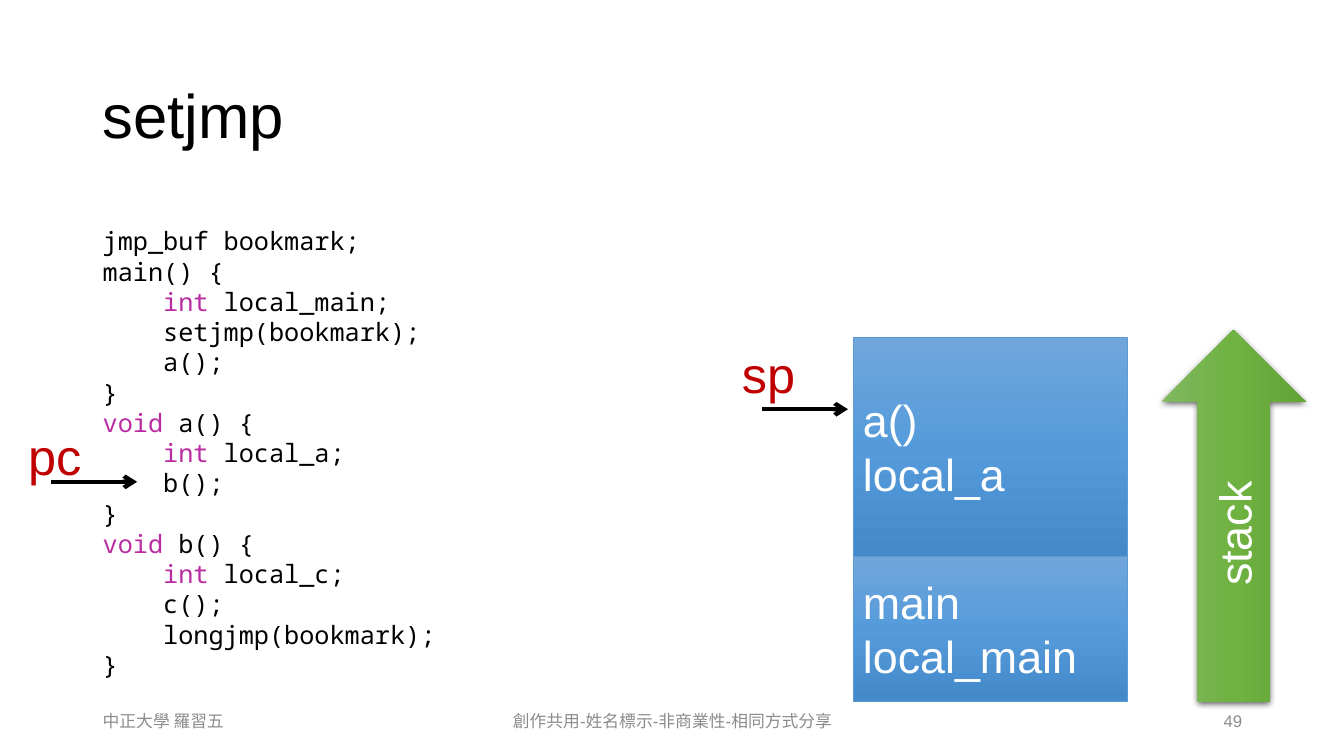
import copy

import pptx
import pptx.dml.color
import pptx.enum.shapes
import pptx.enum.text
import pptx.oxml
import pptx.oxml.ns
import pptx.util

Inches, Pt = pptx.util.Inches, pptx.util.Pt
SHAPES = pptx.enum.shapes.MSO_SHAPE
ALIGN = pptx.enum.text.PP_ALIGN
MIDDLE = pptx.enum.text.MSO_ANCHOR.MIDDLE
rgb = pptx.dml.color.RGBColor.from_string
NAMESPACE = pptx.oxml.ns.nsdecls("a")

MARGIN = 0.92
STACK_BOTTOM, STACK_ROW = 6.96, 0.7225
BLUES = ["71A6DB", "559BDB", "448ACA"]
GREENS = ["81B861", "6FB242", "62A336"]


def write(shape, lines, size, color, align=ALIGN.LEFT, anchor=MIDDLE, wrap=True):
    frame = shape.text_frame
    frame.text = "\n".join(lines)
    frame.word_wrap = wrap
    frame.vertical_anchor = anchor
    for paragraph in frame.paragraphs:
        paragraph.alignment = align
        paragraph.font.name = "Arial"
        paragraph.font.size = Pt(size)
        paragraph.font.color.rgb = rgb(color)


def fill_gradient(shape, colors):
    """Fill from top to bottom with three evenly spaced colours."""
    shape.shadow.inherit = False
    shape.fill.gradient()
    shape.fill.gradient_angle = 270
    stop_list = shape._element.spPr.find(".//" + pptx.oxml.ns.qn("a:gsLst"))
    stop_list.insert(1, copy.deepcopy(stop_list[0]))
    for index, (stop, color) in enumerate(zip(shape.fill.gradient_stops, colors)):
        stop.position = index / 2
        stop.color.rgb = rgb(color)


presentation = pptx.Presentation()
presentation.slide_width, presentation.slide_height = Inches(13.33), Inches(7.5)
slide = presentation.slides.add_slide(presentation.slide_layouts[5])
shapes = slide.shapes

title = shapes.title
title.left, title.top = Inches(MARGIN), Inches(0.4)
title.width, title.height = Inches(3.31), Inches(1.45)
write(title, ["setjmp"], 44, "000000")

# Stack frames, from the bottom up
bottom = STACK_BOTTOM
for lines, rows in [(["main", "local_main"], 2), (["a()", "local_a"], 3)]:
    height = rows * STACK_ROW
    bottom -= height
    stack_frame = shapes.add_shape(SHAPES.RECTANGLE, Inches(8.46), Inches(bottom),
                                   Inches(2.72), Inches(height))
    fill_gradient(stack_frame, BLUES)
    stack_frame.line.color.rgb = rgb("5B9BD5")
    stack_frame.line.width = Pt(0.5)
    write(stack_frame, lines, 32, "FFFFFF")

# Code: (indent level, keyword, rest of the line)
code = [
    (0, "", "jmp_buf bookmark;"),
    (0, "", "main() {"),
    (1, "int", " local_main;"),
    (1, "", "setjmp(bookmark);"),
    (1, "", "a();"),
    (0, "", "}"),
    (0, "void", " a() {"),
    (1, "int", " local_a;"),
    (1, "", "b();"),
    (0, "", "}"),
    (0, "void", " b() {"),
    (1, "int", " local_c;"),
    (1, "", "c();"),
    (1, "", "longjmp(bookmark);"),
    (0, "", "}"),
]
code_box = shapes.add_textbox(Inches(MARGIN), Inches(2.19), Inches(6.67), Inches(4.64))
code_frame = code_box.text_frame
code_frame.word_wrap = True
for index, (level, keyword, rest) in enumerate(code):
    paragraph = code_frame.add_paragraph() if index else code_frame.paragraphs[0]
    paragraph.line_spacing = Pt(21.6)
    paragraph.font.name = "Noto Sans Mono"
    paragraph.font.size = Pt(18)
    paragraph._p.get_or_add_pPr().set("marL", str(Inches(0.6 * level)))
    for text, color in [(keyword, "BA2DA2"), (rest, "000000")]:
        if text:
            run = paragraph.add_run()
            run.text = text
            run.font.color.rgb = rgb(color)

# Direction in which the stack grows
stack_arrow = shapes.add_shape(SHAPES.RIGHT_ARROW, Inches(10.39), Inches(4.4),
                               Inches(3.69), Inches(1.43))
stack_arrow.rotation = 270
fill_gradient(stack_arrow, GREENS)
stack_arrow.line.fill.background()
write(stack_arrow, ["stack"], 32, "FFFFFF", ALIGN.CENTER)
effects = stack_arrow._element.spPr.find(pptx.oxml.ns.qn("a:effectLst"))
effects.append(pptx.oxml.parse_xml(
    f'<a:outerShdw {NAMESPACE} blurRad="{Pt(4.5)}" dist="{Pt(1.5)}" dir="5400000" '
    'algn="ctr" rotWithShape="0"><a:srgbClr val="000000"><a:alpha val="63000"/>'
    '</a:srgbClr></a:outerShdw>'))

# Register pointers: name, label corner, arrow start
for name, left, top, start, level in [("pc", 0.18, 4.17, 0.51, 4.78),
                                      ("sp", 7.26, 3.35, 7.56, 4.06)]:
    pointer = shapes.add_connector(pptx.enum.shapes.MSO_CONNECTOR.STRAIGHT,
                                   Inches(start), Inches(level),
                                   Inches(start + 0.85), Inches(level))
    pointer.line.color.rgb = rgb("000000")
    pointer.line.width = Pt(3)
    pointer.line._get_or_add_ln().append(
        pptx.oxml.parse_xml(f'<a:tailEnd {NAMESPACE} type="arrow"/>'))
    pointer._element.spPr.append(pptx.oxml.parse_xml(f"<a:effectLst {NAMESPACE}/>"))
    label = shapes.add_textbox(Inches(left), Inches(top), Inches(0.73), Inches(0.71))
    write(label, [name], 36, "C00000", anchor=pptx.enum.text.MSO_ANCHOR.TOP, wrap=False)

for text, left, width, align in [
        ("中正大學 羅習五", MARGIN, 3, ALIGN.LEFT),
        ("創作共用-姓名標示-非商業性-相同方式分享", 4.42, 4.5, ALIGN.CENTER),
        ("49", 9.42, 3, ALIGN.RIGHT)]:
    footer = shapes.add_textbox(Inches(left), Inches(6.95), Inches(width), Inches(0.4))
    write(footer, [text], 12, "8C8C8C", align)

presentation.save("out.pptx")
